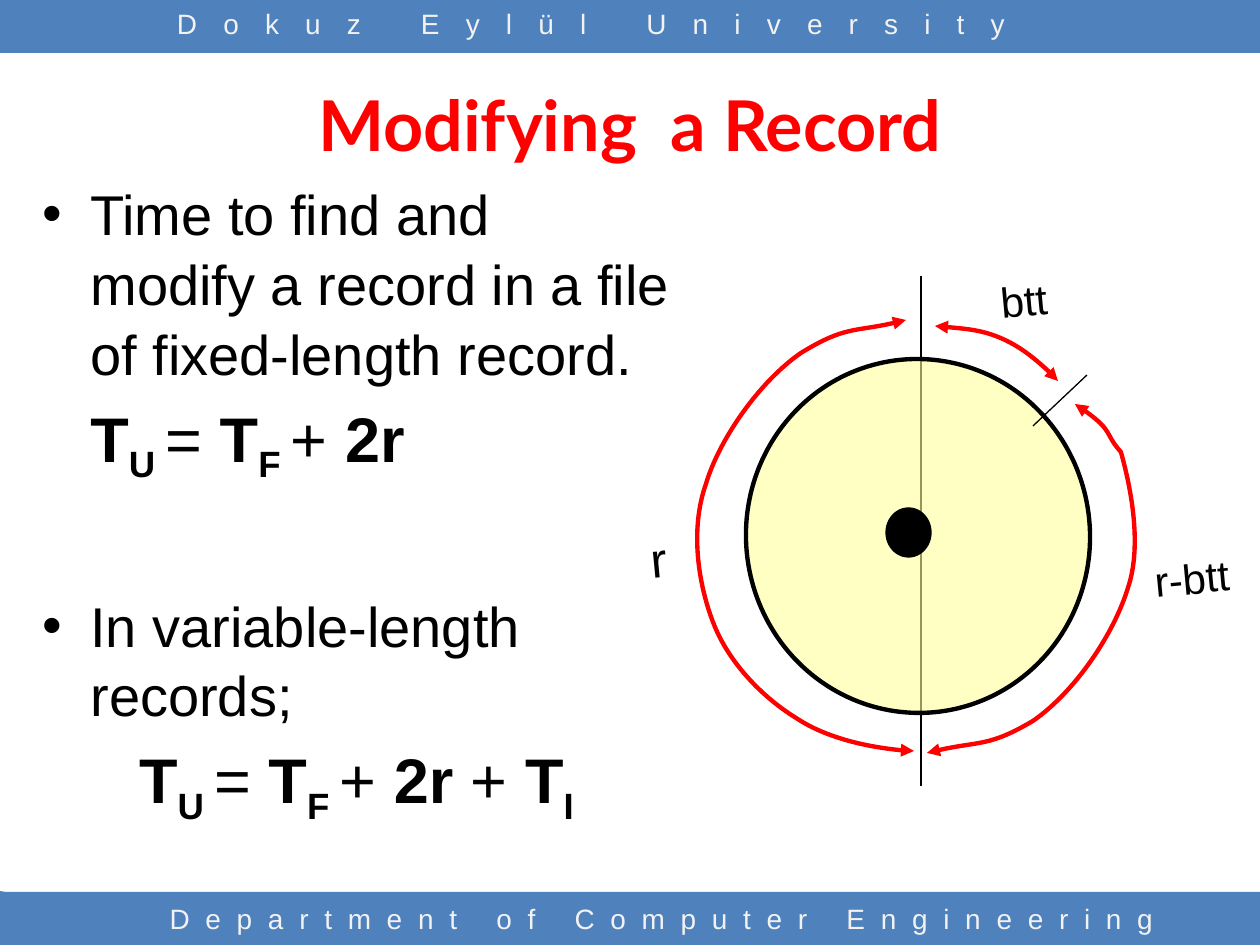
import pptx
import pptx.util
import pptx.dml.color
import pptx.enum.shapes
import pptx.enum.text
from lxml import etree
from pptx.oxml.ns import qn

RGBColor = pptx.dml.color.RGBColor
Align = pptx.enum.text.PP_ALIGN
Anchor = pptx.enum.text.MSO_ANCHOR
Shape = pptx.enum.shapes.MSO_SHAPE
Pt = pptx.util.Pt

EMU_PER_PX = 914400 / 126
BLUE = RGBColor(0x4F, 0x81, 0xBD)
RED = RGBColor(0xFF, 0, 0)
BLACK = RGBColor(0, 0, 0)
PALE_GREY = RGBColor(0xF2, 0xF2, 0xF2)
PALE_YELLOW = RGBColor(0xFF, 0xFF, 0x99)
TILT = -5.5

# Start point, then three points for each curve segment
FULL_TURN = [(906, 320), (856, 333), (845, 326), (801, 353),
             (759, 382), (719, 440), (706, 484), (690, 529), (698, 583), (713, 622),
             (728, 662), (762, 697), (796, 718), (829, 740), (890, 751), (914, 751)]
REST_OF_TURN = [(927, 753), (978, 740), (989, 747), (1033, 721),
                (1075, 692), (1114, 634), (1128, 588), (1143, 544), (1130, 484), (1121, 452),
                (1104, 433), (1116, 431), (1075, 404)]
BLOCK_TRANSFER = [(935, 326), (959, 328), (983, 330), (1003, 339),
                  (1023, 348), (1052, 373), (1058, 381)]
FOOTER_CORNERS = [
    [(111, 893), (116, 893), (116, 945), (59, 945)],
    [(5, 892), (58, 945), (0, 945), (0, 891)],
]
UPDATE_FIXED = [("T", "bold"), ("U ", "sub"), ("=", ""), (" T", "bold"),
                ("F ", "sub"), ("+", ""), (" 2r", "bold")]
UPDATE_VARIABLE = UPDATE_FIXED[:-1] + [(" 2r ", "bold"), ("+", ""),
                                       (" T", "bold"), ("I", "sub")]


def px(*lengths):
    return [round(length * EMU_PER_PX) for length in lengths]


def add_run(paragraph, text, size, color=BLACK, font="Arial", bold=False,
            subscript=False, spacing=0):
    run = paragraph.add_run()
    run.text = text
    run.font.size = Pt(size)
    run.font.name = font
    run.font.bold = bold
    run.font.color.rgb = color
    properties = run._r.get_or_add_rPr()
    if subscript:
        properties.set("baseline", "-25000")
    if spacing:
        properties.set("spc", str(spacing * 100))


def add_text(slide, box, text, size, align=Align.LEFT, wrap=True, rotation=0, **style):
    label = slide.shapes.add_textbox(*px(*box))
    label.rotation = rotation
    label.text_frame.word_wrap = wrap
    paragraph = label.text_frame.paragraphs[0]
    paragraph.alignment = align
    add_run(paragraph, text, size, **style)


def paint(shape, fill=None, line=None, width=0.75):
    shape.shadow.inherit = False
    if fill is None:
        shape.fill.background()
    else:
        shape.fill.solid()
        shape.fill.fore_color.rgb = fill
    if line is None:
        shape.line.fill.background()
    else:
        shape.line.color.rgb = line
        shape.line.width = Pt(width)


def add_preset(slide, kind, box, **look):
    shape = slide.shapes.add_shape(kind, *px(*box))
    paint(shape, **look)
    return shape


def add_outline(slide, points, close, **look):
    builder = slide.shapes.build_freeform(*points[0], scale=EMU_PER_PX)
    builder.add_line_segments(points[1:], close=close)
    outline = builder.convert_to_shape()
    paint(outline, **look)
    return outline


def add_curved_arrow(slide, points):
    arrow = add_outline(slide, points, False, line=RED, width=2.5)
    # Turn each three straight steps into one Bezier segment
    steps = list(arrow._element.iter(qn("a:lnTo")))
    for first in range(0, len(steps), 3):
        curve = etree.Element(qn("a:cubicBezTo"))
        steps[first].addprevious(curve)
        for step in steps[first:first + 3]:
            curve.append(step[0])
            step.getparent().remove(step)
    line = arrow.line._get_or_add_ln()
    for end in ("a:headEnd", "a:tailEnd"):
        etree.SubElement(line, qn(end), type="triangle")


def add_line(slide, start, end):
    line = slide.shapes.add_connector(
        pptx.enum.shapes.MSO_CONNECTOR.STRAIGHT, *px(*start, *end))
    line.line.color.rgb = BLACK
    line.line.width = Pt(0.75)
    etree.SubElement(line._element.spPr, qn("a:effectLst"))


def add_paragraph(frame, pieces, size, bullet=False, before=0, **layout):
    paragraph = frame.paragraphs[0]
    if paragraph.runs:
        paragraph = frame.add_paragraph()
    properties = paragraph._p.get_or_add_pPr()
    margin, = px(layout.get("margin", 48))
    properties.set("marL", str(margin))
    properties.set("indent", str(-margin if bullet else 0))
    if bullet:
        etree.SubElement(properties, qn("a:buFont"), typeface="Arial")
        etree.SubElement(properties, qn("a:buChar"), char="•")
    paragraph.space_before = Pt(before)
    paragraph.line_spacing = layout.get("line_spacing", 1.0)
    paragraph.alignment = layout.get("align", Align.LEFT)
    for text, style in pieces:
        add_run(paragraph, text, size, bold=style != "", subscript=style == "sub")


def add_bands(slide):
    for top in (0, 892):
        add_preset(slide, Shape.RECTANGLE, (0, top, 1260, 53), fill=BLUE)
    for corner in FOOTER_CORNERS:
        add_outline(slide, corner, True, fill=BLUE)
    band_style = dict(size=16, align=Align.CENTER, color=PALE_GREY)
    add_text(slide, (116, 895, 1092, 50), "Department of Computer Engineering",
             spacing=9, **band_style)
    add_text(slide, (82, 0, 1019, 53), "Dokuz Eylül University",
             spacing=15, **band_style)


def set_title(slide, text):
    title = slide.shapes.title
    title.left, title.top, title.width, title.height = px(63, 52, 1134, 144)
    title.text_frame.vertical_anchor = Anchor.MIDDLE
    paragraph = title.text_frame.paragraphs[0]
    paragraph.alignment = Align.CENTER
    add_run(paragraph, text, 40, color=RED, font="Lato", bold=True)


def add_body(slide):
    frame = slide.shapes.add_textbox(*px(30, 171, 653, 698)).text_frame
    frame.word_wrap = True
    add_paragraph(frame, [("Time to find and modify a record in a file "
                           "of fixed-length record.", "")], 32,
                  bullet=True, line_spacing=1.04)
    add_paragraph(frame, UPDATE_FIXED, 36, before=7)
    add_paragraph(frame, [("In variable-length records;", "")], 32,
                  bullet=True, before=59, line_spacing=1.04)
    add_paragraph(frame, UPDATE_VARIABLE, 36, before=7, margin=0, align=Align.CENTER)


def add_disk(slide):
    add_line(slide, (921, 786), (921, 276))
    add_curved_arrow(slide, FULL_TURN)
    platter = add_preset(slide, Shape.OVAL, (746, 359, 344, 354),
                         fill=PALE_YELLOW, line=BLACK, width=2.5)
    platter.rotation = TILT
    fill_color = platter._element.spPr.find(qn("a:solidFill"))[0]
    etree.SubElement(fill_color, qn("a:alpha"), val="59000")
    add_curved_arrow(slide, REST_OF_TURN)
    add_line(slide, (1033, 426), (1087, 375))
    add_curved_arrow(slide, BLOCK_TRANSFER)
    for text, box, size in (("r", (638, 523, 42, 72), 28),
                            ("btt", (988, 268, 73, 63), 24),
                            ("r-btt", (1142, 546, 101, 63), 24)):
        add_text(slide, box, text, size, wrap=False, rotation=TILT)
    # Spindle
    add_preset(slide, Shape.OVAL, (886, 508, 45, 49), fill=BLACK, line=BLACK)


def main():
    deck = pptx.Presentation()
    deck.slide_width, deck.slide_height = px(1260, 945)
    slide = deck.slides.add_slide(deck.slide_layouts[5])
    add_bands(slide)
    set_title(slide, "Modifying  a Record")
    add_body(slide)
    add_disk(slide)
    deck.save("out.pptx")


if __name__ == "__main__":
    main()
